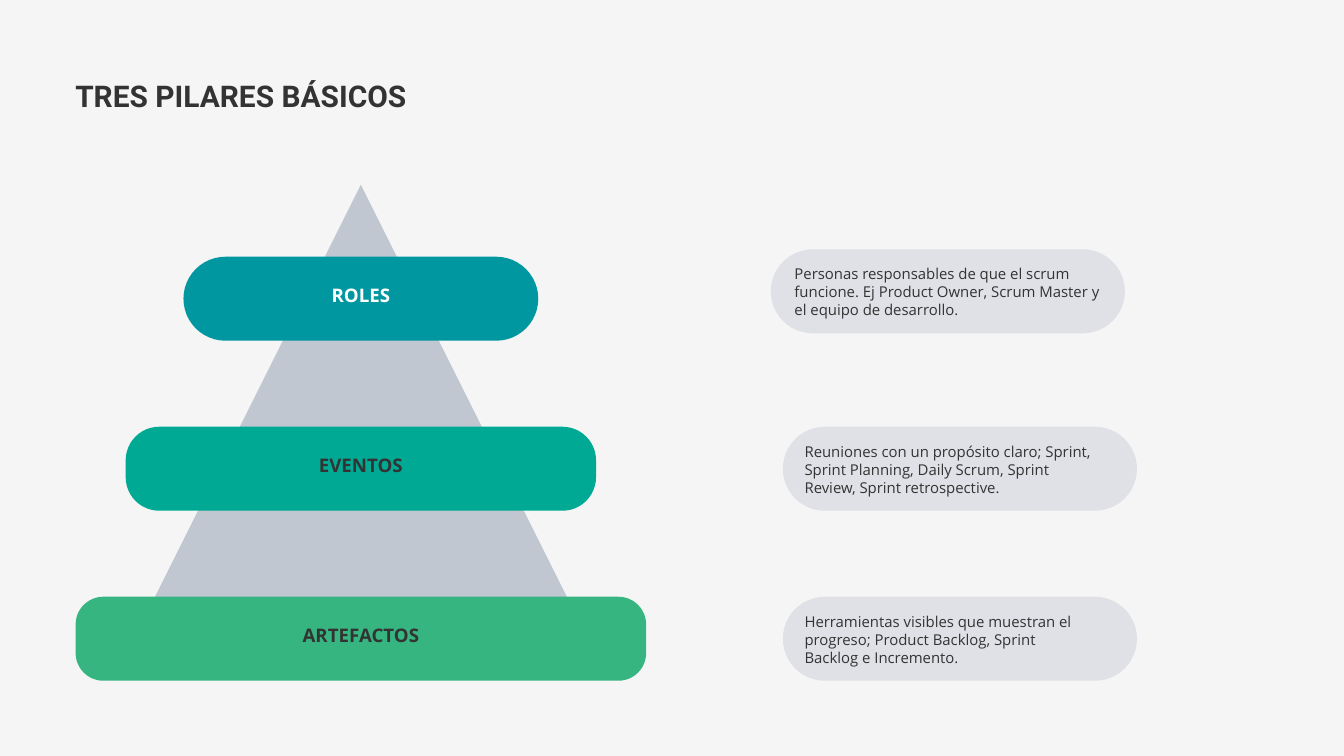
import pptx
import pptx.util
import pptx.dml.color
import pptx.enum.shapes
import pptx.enum.text
from pptx.util import Inches

BAR_HEIGHT = 1.25
AXIS = 5.37
PILL_INSET = 0.18  # what a fully rounded shape itself keeps clear of text
ANCHOR = pptx.enum.text.MSO_ANCHOR
ALIGN = pptx.enum.text.PP_ALIGN

# label, bar width, bar top, corner ratio, fill, text colour
PILLARS = [
    ("ROLES", 5.28, 3.82, 0.5, "0097A0", "FFFFFF"),
    ("EVENTOS", 7, 6.35, 0.4, "00A994", "333333"),
    ("ARTEFACTOS", 8.49, 8.88, 0.33, "36B580", "333333"),
]

# text, pill left, pill top, left margin, right margin
NOTES = [
    ("Personas responsables de que el scrum funcione. Ej Product Owner, "
     "Scrum Master y el equipo de desarrollo.", 11.47, 3.71, 0.35, 0.35),
    ("Reuniones con un propósito claro; Sprint, Sprint Planning, Daily Scrum, "
     "Sprint Review, Sprint retrospective.", 11.65, 6.35, 0.32, 0.68),
    ("Herramientas visibles que muestran el progreso; Product Backlog, "
     "Sprint Backlog e Incremento.", 11.65, 8.88, 0.32, 0.68),
]


def color(value):
    return pptx.dml.color.RGBColor.from_string(value)


def paint(shape, fill):
    """Give a shape a plain fill without line or shadow."""
    shape.shadow.inherit = False
    shape.fill.solid()
    shape.fill.fore_color.rgb = color(fill)
    shape.line.fill.background()


def write(shape, text, font, size, spacing, ink, bold=False,
          align=ALIGN.LEFT, anchor=ANCHOR.TOP, margins=(0, 0, 0, 0)):
    """Set the text; margins are left, top, right, bottom in inches."""
    frame = shape.text_frame
    frame.text = text
    frame.word_wrap = True
    frame.auto_size = pptx.enum.text.MSO_AUTO_SIZE.NONE
    frame.vertical_anchor = anchor
    (frame.margin_left, frame.margin_top,
     frame.margin_right, frame.margin_bottom) = map(Inches, margins)
    para = frame.paragraphs[0]
    para.alignment = align
    para.line_spacing = pptx.util.Pt(spacing)
    para.space_before = pptx.util.Pt(0)
    span = para.runs[0]
    span.font.name = font
    span.font.size = pptx.util.Pt(size)
    span.font.bold = bold
    span.font.color.rgb = color(ink)


def add_shape(page, kind, left, top, width, height, fill):
    shape = page.shapes.add_shape(
        kind, Inches(left), Inches(top), Inches(width), Inches(height))
    paint(shape, fill)
    return shape


def add_rounded(page, left, top, width, ratio, fill):
    kind = pptx.enum.shapes.MSO_SHAPE.ROUNDED_RECTANGLE
    shape = add_shape(page, kind, left, top, width, BAR_HEIGHT, fill)
    shape.adjustments[0] = ratio
    return shape


def add_title(page, left, top, width, height):
    title = page.shapes.title
    title.left, title.top = Inches(left), Inches(top)
    title.width, title.height = Inches(width), Inches(height)
    write(title, "TRES PILARES BÁSICOS", "Roboto", 32, 44.8, "333333", True)


def add_pyramid(page, top, side):
    add_shape(page, pptx.enum.shapes.MSO_SHAPE.ISOSCELES_TRIANGLE,
              AXIS - side / 2, top, side, side, "C1C7D0")
    for label, width, bar_top, ratio, fill, ink in PILLARS:
        bar = add_rounded(page, AXIS - width / 2, bar_top, width, ratio, fill)
        write(bar, label, "Open Sans", 20, 28, ink, True, ALIGN.CENTER,
              ANCHOR.MIDDLE, (0.06, 0, 0.06, 0.16))


def add_notes(page, width):
    for text, left, top, before, after in NOTES:
        pill = add_rounded(page, left, top, width, 0.5, "DFE1E6")
        write(pill, text, "Open Sans", 16, 19.2, "333333",
              margins=(before - PILL_INSET, 0.05, after - PILL_INSET, 0))


def main():
    deck = pptx.Presentation()
    deck.slide_width, deck.slide_height = Inches(20), Inches(11.25)
    page = deck.slides.add_slide(deck.slide_layouts[5])
    page.background.fill.solid()
    page.background.fill.fore_color.rgb = color("F5F5F5")
    add_title(page, 1.12, 1.07, 13.16, 0.58)
    add_pyramid(page, 2.75, 6.75)
    add_notes(page, 5.27)
    deck.save("out.pptx")


if __name__ == "__main__":
    main()
